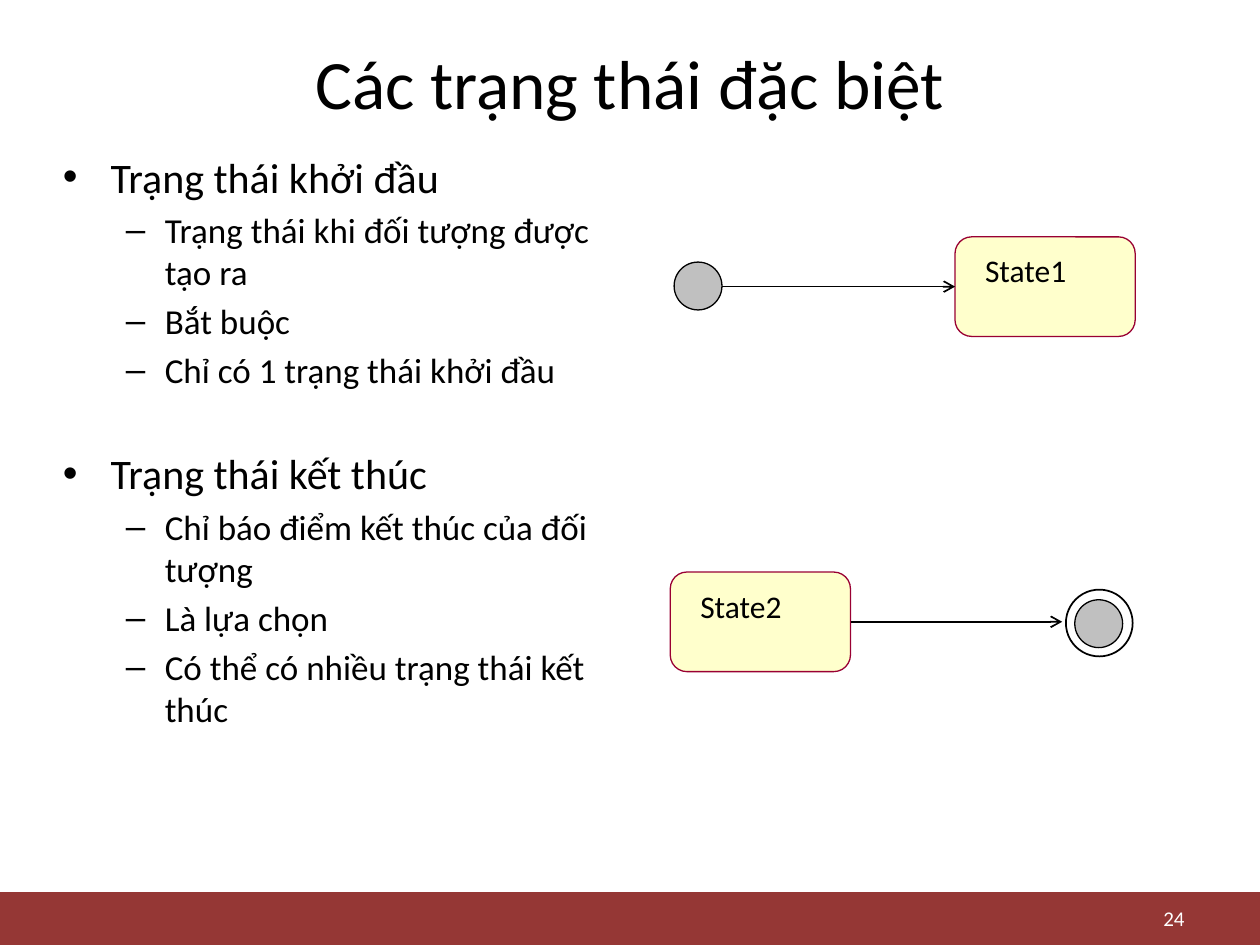
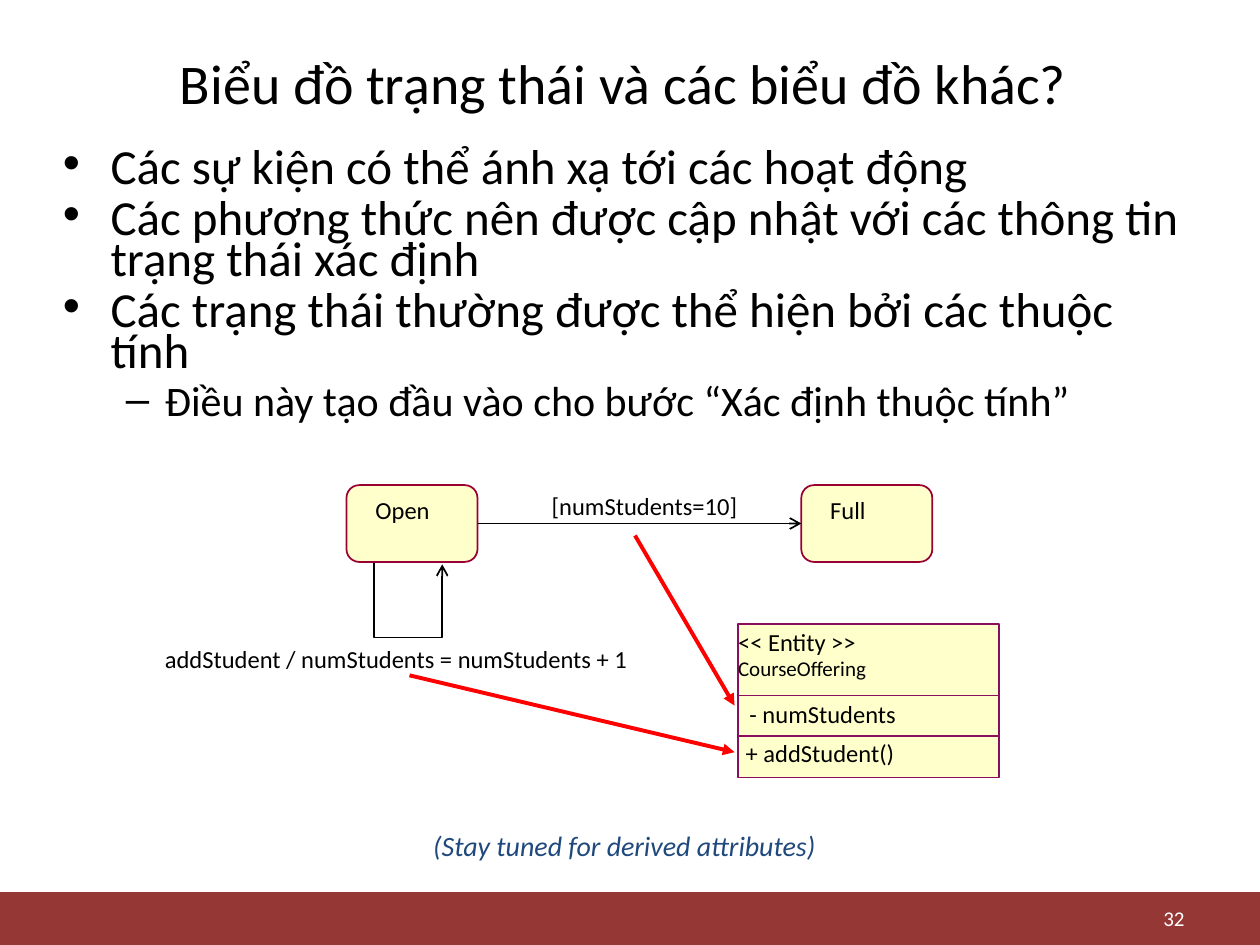
from dataclasses import dataclass

from lxml import etree
from pptx import Presentation, util as u
from pptx.dml import color
from pptx.enum import shapes, text
from pptx.oxml import ns

COLUMNS, ROWS = 100, 75
CELL = u.Inches(0.1)
FONT = "Calibri"
BLACK, WHITE, BAND = "000000", "FFFFFF", "953735"
STATE_FILL, STATE_LINE, ENTITY_LINE = "FFFFCC", "990033", "8A0E5E"
DOT, CALL, NOTE = "C0C0C0", "FF0000", "1F497D"
BULLETS = (("•", 0.38, 0.38), ("–", 0.81, 0.31))
ALIGN = text.PP_ALIGN
SHAPE = shapes.MSO_SHAPE


@dataclass
class Box:
    """A rectangle in columns and rows of the slide grid."""
    left: float
    top: float
    width: float
    height: float

    def inner(self, left, top, width, height):
        """Return a box placed relative to this one."""
        return Box(self.left + left, self.top + top, width, height)

    def lengths(self):
        """Return the four lengths in slide units."""
        return [cells(n) for n in (self.left, self.top, self.width, self.height)]


def cells(count):
    """Turn grid cells into slide units."""
    return round(count * CELL)


def rgb(value):
    """Turn a hex string into a colour."""
    return color.RGBColor.from_string(value)


def add_xml(parent, tag, **attributes):
    """Append a drawing element to a parent."""
    return etree.SubElement(parent, ns.qn(tag), **attributes)


def set_line(item, hue, weight, head=None):
    """Colour an outline or connector, with an optional arrowhead."""
    item.line.color.rgb = rgb(hue)
    item.line.width = u.Pt(weight)
    if head:
        outline = item._element.spPr.find(ns.qn("a:ln"))
        add_xml(outline, "a:tailEnd", type=head)


def write(frame, words, size=14, hue=BLACK, align=ALIGN.LEFT, italic=False,
          anchor=text.MSO_ANCHOR.TOP, para=None):
    """Write words into a frame, or into one of its paragraphs."""
    frame.word_wrap = True
    frame.vertical_anchor = anchor
    para = para or frame.paragraphs[0]
    para.alignment = align
    span = para.add_run()
    span.text = words
    span.font.name, span.font.size = FONT, u.Pt(size)
    span.font.italic = italic
    span.font.color.rgb = rgb(hue)


def label(page, box, words, **style):
    """Add a text box holding one paragraph."""
    write(page.shapes.add_textbox(*box.lengths()).text_frame, words, **style)


def bullets(page, box, items, sizes, spacing=(None, None)):
    """Add a bulleted list of (level, words, extra points before)."""
    frame = page.shapes.add_textbox(*box.lengths()).text_frame
    for index, (level, words, extra) in enumerate(items):
        para = frame.add_paragraph() if index else frame.paragraphs[0]
        mark, margin, hang = BULLETS[level]
        para.level = level
        para.line_spacing = spacing[level]
        if index:
            para.space_before = u.Pt(sizes[level] * 0.2 + extra)
        properties = para._p.get_or_add_pPr()
        properties.set("marL", str(u.Inches(margin)))
        properties.set("indent", str(-u.Inches(hang)))
        add_xml(properties, "a:buFont", typeface="Arial")
        add_xml(properties, "a:buChar", char=mark)
        write(frame, words, size=sizes[level], para=para)


def add_shape(page, kind, box, fill=None, line=None, weight=1):
    """Add a flat preset shape."""
    shape = page.shapes.add_shape(kind, *box.lengths())
    shape.shadow.inherit = False
    if fill:
        shape.fill.solid()
        shape.fill.fore_color.rgb = rgb(fill)
    else:
        shape.fill.background()
    if line:
        set_line(shape, line, weight)
    else:
        shape.line.fill.background()
    return shape


def connect(page, start, end, hue=BLACK, weight=1, head="arrow", source=None, target=None):
    """Draw a straight line, joined to a source's right or a target's left side."""
    points = [cells(n) for n in (*start, *end)]
    line = page.shapes.add_connector(shapes.MSO_CONNECTOR.STRAIGHT, *points)
    set_line(line, hue, weight, head)
    add_xml(line._element.spPr, "a:effectLst")
    if source:
        line.begin_connect(source, 3)
    if target:
        line.end_connect(target, 1)


def state(page, box, name, size, weight, top):
    """Add a rounded state with its name at the upper left."""
    shape = add_shape(page, SHAPE.ROUNDED_RECTANGLE, box, STATE_FILL, STATE_LINE, weight)
    frame = shape.text_frame
    frame.margin_left, frame.margin_top = u.Inches(0.2), u.Inches(top)
    write(frame, name, size=size)
    return shape


def start_diagram(page, box):
    """Show the start dot leading to the first state."""
    add_shape(page, SHAPE.OVAL, box.inner(0, 2, 3.8, 3.8), DOT, BLACK, 0.75)
    first = state(page, box.inner(22.3, 0, 14.3, 7.9), "State1", 18, 0.75, 0.07)
    middle = box.top + 3.95
    connect(page, (box.left + 3.8, middle), (box.left + 22.3, middle), target=first)


def end_diagram(page, box):
    """Show the last state leading to the ringed end dot."""
    last = state(page, box.inner(0, 0, 14.3, 7.9), "State2", 18, 0.75, 0.08)
    middle = box.top + 3.95
    connect(page, (box.left + 14.3, middle), (box.left + 31.1, middle), source=last)
    add_shape(page, SHAPE.OVAL, box.inner(32.1, 2.2, 3.8, 3.8), DOT, BLACK, 0.75)
    add_shape(page, SHAPE.OVAL, box.inner(31.4, 1.4, 5.3, 5.3), line=BLACK)


def self_loop(page, box):
    """Draw the transition that leaves a state and returns to it."""
    left, top, width, height = box.lengths()
    builder = page.shapes.build_freeform(left, top)
    builder.add_line_segments([(left, top + height), (left + width, top + height),
                               (left + width, top + cells(0.2))], close=False)
    loop = builder.convert_to_shape()
    loop.shadow.inherit = False
    loop.fill.background()
    set_line(loop, BLACK, 1, "arrow")


def entity(page, box):
    """Draw the class with its name, attribute and operation."""
    add_shape(page, SHAPE.RECTANGLE, box, STATE_FILL, ENTITY_LINE)
    for row in (5.7, 8.9):
        y = box.top + row
        connect(page, (box.left, y), (box.left + box.width, y), ENTITY_LINE, head=None)
    for left, top, words, size in ((-1, -0.2, "<< Entity >>", 14),
                                   (-1, 2, "CourseOffering", 12),
                                   (-0.1, 5.5, "- numStudents", 14),
                                   (-0.4, 8.6, "+ addStudent()", 14)):
        label(page, box.inner(left, top, box.width, 3.4), words, size=size)


def course_diagram(page, box):
    """Relate the course's states to the members of its class."""
    self_loop(page, box.inner(17.6, 6.1, 5.4, 6))
    opened, full = [state(page, box.inner(left, 0, 10.4, 6.1), name, 14, 1, 0.05)
                    for left, name in ((15.4, "Open"), (51.5, "Full"))]
    middle = box.top + 3.05
    connect(page, (box.left + 25.8, middle), (box.left + 51.5, middle),
            source=opened, target=full)
    label(page, box.inner(30.7, 0, 18.2, 3.4), "[numStudents=10]")
    label(page, box.inner(0, 12.1, 42.8, 3.4), "addStudent / numStudents = numStudents + 1")
    entity(page, box.inner(46.5, 11, 20.7, 12.2))
    for start, row in (((20.4, 15.1), 21.2), ((38.3, 4), 17.5)):
        connect(page, (box.left + start[0], box.top + start[1]),
                (box.left + 46.2, box.top + row), CALL, 2.25, "triangle")


def add_page(deck, title, size, number):
    """Add a slide with the shared title, band and number."""
    page = deck.slides.add_slide(deck.slide_layouts[6])
    middle = text.MSO_ANCHOR.MIDDLE
    add_shape(page, SHAPE.RECTANGLE, Box(0, 70.8, COLUMNS, ROWS - 70.8), BAND)
    label(page, Box(5, 3, 90, 7), title, size=size, align=ALIGN.CENTER, anchor=middle)
    label(page, Box(71.7, 71.5, 23.3, 2.7), number, size=12, hue=WHITE,
          align=ALIGN.RIGHT, anchor=middle)
    return page


def special_states(deck):
    """Build the slide on start and end states."""
    page = add_page(deck, "Các trạng thái đặc biệt", 39.6, "24")
    bullets(page, Box(4, 11.5, 45.6, 55.2), [
        (0, "Trạng thái khởi đầu", 0),
        (1, "Trạng thái khi đối tượng được tạo ra", 0),
        (1, "Bắt buộc", 0),
        (1, "Chỉ có 1 trạng thái khởi đầu", 0),
        (0, "Trạng thái kết thúc", 28),
        (1, "Chỉ báo điểm kết thúc của đối tượng", 0),
        (1, "Là lựa chọn", 0),
        (1, "Có thể có nhiều trạng thái kết thúc", 0),
    ], (24, 20))
    start_diagram(page, Box(53.5, 18.8, 36.6, 7.9))
    end_diagram(page, Box(53.2, 45.4, 36.7, 7.9))


def other_diagrams(deck):
    """Build the slide linking state diagrams to class diagrams."""
    page = add_page(deck, "Biểu đồ trạng thái và các biểu đồ khác? ", 32, "32")
    bullets(page, Box(4, 11.5, 92, 26.1), [
        (0, "Các sự kiện có thể ánh xạ tới các hoạt động", 0),
        (0, "Các phương thức nên được cập nhật với các thông tin trạng thái xác định", 0),
        (0, "Các trạng thái thường được thể hiện bởi các thuộc tính", 0),
        (1, "Điều này tạo đầu vào cho bước “Xác định thuộc tính”", 0),
    ], (28, 24), (0.7, 0.77))
    course_diagram(page, Box(12.1, 38.5, 67.2, 23.2))
    label(page, Box(33.4, 65.3, 36, 3.9), "(Stay tuned for derived attributes)",
          size=16, hue=NOTE, italic=True)


def main():
    """Build and save the deck."""
    deck = Presentation()
    deck.slide_width, deck.slide_height = cells(COLUMNS), cells(ROWS)
    special_states(deck)
    other_diagrams(deck)
    deck.save("out.pptx")


if __name__ == "__main__":
    main()
